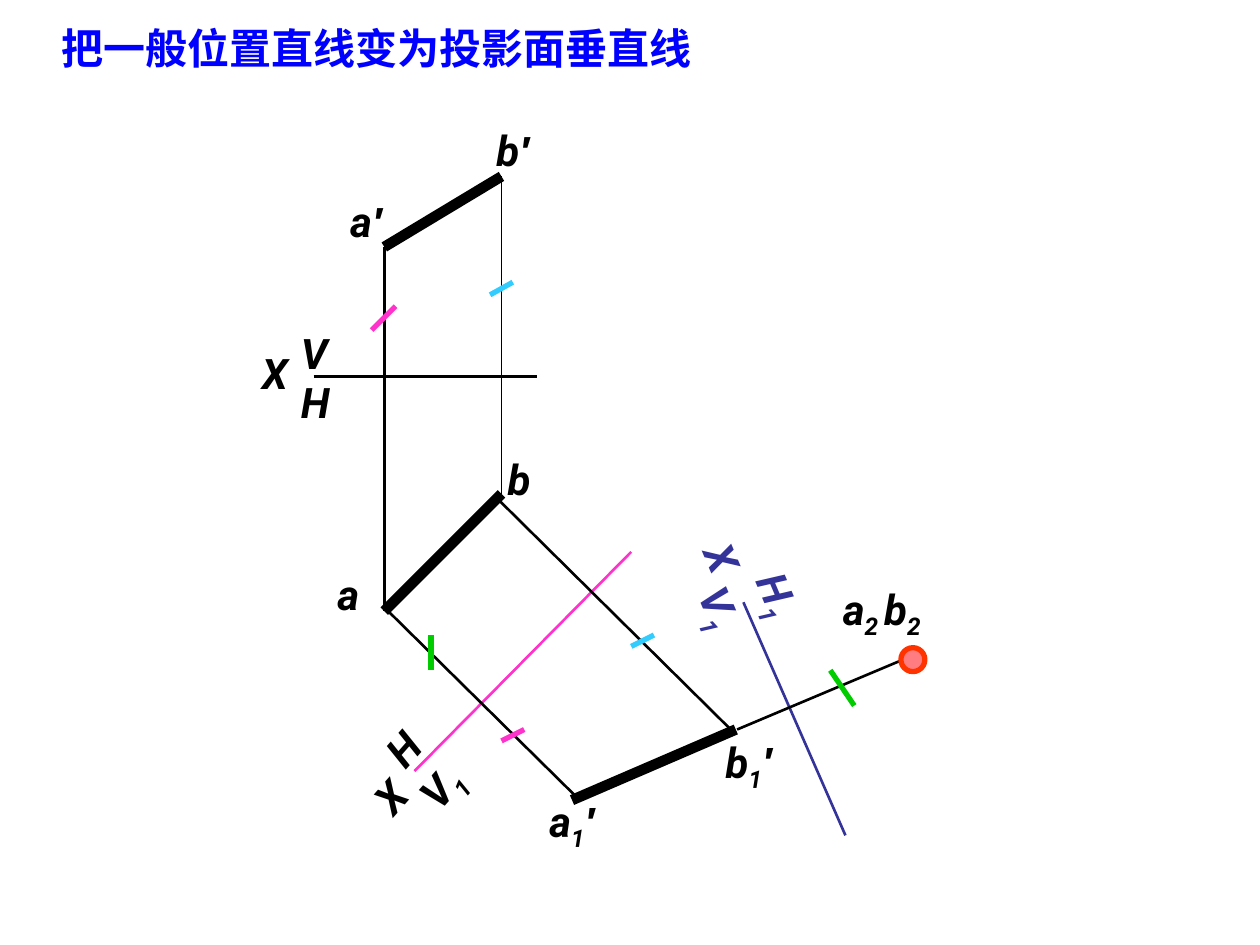
"""Draw the projection of a general line turned into a projecting line."""
from itertools import groupby

from lxml import etree
from pptx import Presentation
from pptx.dml.color import RGBColor
from pptx.enum.shapes import MSO_CONNECTOR, MSO_SHAPE
from pptx.enum.text import MSO_AUTO_SIZE
from pptx.oxml.ns import qn
from pptx.util import Inches, Pt

STRAIGHT = MSO_CONNECTOR.STRAIGHT
OVAL = MSO_SHAPE.OVAL
FIT_SHAPE = MSO_AUTO_SIZE.SHAPE_TO_FIT_TEXT

BLACK = RGBColor(0x00, 0x00, 0x00)
BLUE = RGBColor(0x00, 0x00, 0xFF)
NAVY = RGBColor(0x33, 0x33, 0x99)
PINK = RGBColor(0xFF, 0x33, 0xCC)
CYAN = RGBColor(0x33, 0xCC, 0xFF)
GREEN = RGBColor(0x00, 0xCC, 0x00)
RED = RGBColor(0xFF, 0x33, 0x00)
SALMON = RGBColor(0xFF, 0x7C, 0x80)

SUBSCRIPTS = "12 "
PRIME = "′"
THIN, NORMAL, MARK, BOLD = 0.75, 1.5, 3, 6
SUB_HEIGHT = 0.56


def write_text(frame, text, *, size=24, font="Roboto", color=BLACK, italic=True):
    """Write text in runs, with digits as subscripts and primes in Arial."""
    paragraph = frame.paragraphs[0]
    for (subscript, prime), letters in groupby(
        text, key=lambda letter: (letter in SUBSCRIPTS, letter == PRIME)
    ):
        run = paragraph.add_run()
        run.text = "".join(letters)
        run.font.size = Pt(size)
        run.font.name = "Arial" if prime else font
        run.font.bold = True
        run.font.italic = italic
        run.font.color.rgb = color
        if subscript:
            run._r.get_or_add_rPr().set("baseline", "-25000")


class Drawing:
    """Hold the slide and add lines, labels and points to it."""

    def __init__(self, slide):
        self.slide = slide

    def line(self, start, end, color=BLACK, width=NORMAL):
        """Draw a straight line between two points."""
        ends = [Inches(value) for value in (*start, *end)]
        connector = self.slide.shapes.add_connector(STRAIGHT, *ends)
        connector.line.color.rgb = color
        connector.line.width = Pt(width)
        etree.SubElement(connector._element.spPr, qn("a:effectLst"))

    def label(self, text, left, top, width, height=0.5, angle=0, wrap=True, **style):
        """Add a text label, turned by an angle."""
        box = self.slide.shapes.add_textbox(
            Inches(left), Inches(top), Inches(width), Inches(height)
        )
        box.rotation = angle
        box.text_frame.word_wrap = wrap
        box.text_frame.auto_size = FIT_SHAPE
        write_text(box.text_frame, text, **style)

    def point(self, left, top, size, fill, outline):
        """Draw a round point."""
        dot = self.slide.shapes.add_shape(
            OVAL, Inches(left), Inches(top), Inches(size), Inches(size)
        )
        dot.shadow.inherit = False
        dot.fill.solid()
        dot.fill.fore_color.rgb = fill
        dot.line.color.rgb = outline
        dot.line.width = Pt(MARK)


def draw_second_axis(drawing):
    """Draw the axis between V1 and H1."""
    drawing.line((5.9, 4.78), (6.71, 6.63), NAVY)
    turned = {"angle": 67.1, "color": NAVY}
    drawing.label("X", 5.46, 4.29, 0.65, **turned)
    drawing.label("H1", 5.82, 4.55, 0.75, SUB_HEIGHT, **turned)
    drawing.label("V1", 5.33, 4.71, 0.85, SUB_HEIGHT, **turned)


def draw_given_views(drawing):
    """Draw the line AB in the V and H planes."""
    a_front, b_front = (3.05, 1.96), (3.98, 1.4)
    a_top, b_top = (3.05, 4.85), (3.98, 3.92)
    drawing.line(a_front, a_top)
    drawing.line((2.49, 2.99), (4.26, 2.99))
    drawing.line(a_front, b_front, width=BOLD)
    drawing.line(a_top, b_top, width=BOLD)
    drawing.line(b_top, b_front, width=THIN)
    for name, left, top, width in (
        ("a′", 2.68, 1.5, 0.78),
        ("a", 2.58, 4.46, 0.89),
        ("X", 1.98, 2.71, 0.65),
        ("V", 2.29, 2.55, 0.47),
        ("H", 2.29, 2.94, 0.56),
        ("b′", 3.84, 0.94, 0.78),
        ("b", 3.93, 3.55, 0.89),
    ):
        drawing.label(name, left, top, width)


def draw_point_view(drawing):
    """Draw the view in which AB becomes a point."""
    drawing.label("a2 b2", 6.59, 4.58, 1.31, SUB_HEIGHT)
    drawing.line((5.85, 5.79), (7.25, 5.2))
    drawing.point(7.15, 5.14, 0.19, SALMON, RED)


def draw_first_axis(drawing):
    """Draw the axis between H and V1."""
    drawing.line((3.29, 6.12), (5.01, 4.38), PINK)
    drawing.label("X", 2.85, 5.98, 0.65, angle=311.3)
    drawing.label("H", 2.96, 5.64, 0.56, angle=311.3)
    drawing.label("V1", 3.19, 5.83, 0.91, SUB_HEIGHT, angle=311.3)


def draw_true_length(drawing):
    """Draw AB in its true length in the V1 plane."""
    drawing.line((3.04, 4.81), (4.57, 6.32))
    drawing.line((3.96, 3.97), (5.81, 5.8))
    drawing.line((5.84, 5.79), (4.54, 6.35), width=BOLD)
    for name, left, top in (("a1′", 4.26, 6.26), ("b1′", 5.66, 5.79)):
        drawing.label(name, left, top, 0.93, SUB_HEIGHT, angle=359.4)


def draw_equal_marks(drawing):
    """Mark the equal distances in matching colours."""
    for start, end, color in (
        ((4.16, 5.79), (3.98, 5.88), PINK),
        ((3.14, 2.43), (2.95, 2.62), PINK),
        ((3.89, 2.34), (4.07, 2.24), CYAN),
        ((5.01, 5.13), (5.19, 5.04), CYAN),
        ((3.42, 5.04), (3.42, 5.32), GREEN),
        ((6.59, 5.32), (6.78, 5.6), GREEN),
    ):
        drawing.line(start, end, color, MARK)


def main():
    """Build the slide and save it."""
    deck = Presentation()
    deck.slide_width, deck.slide_height = Inches(10), Inches(7.5)
    drawing = Drawing(deck.slides.add_slide(deck.slide_layouts[6]))
    draw_second_axis(drawing)
    draw_given_views(drawing)
    draw_point_view(drawing)
    draw_first_axis(drawing)
    draw_true_length(drawing)
    draw_equal_marks(drawing)
    drawing.label("把一般位置直线变为投影面垂直线", 0.39, 0.13, 5.2, wrap=False,
                  font="Arial", color=BLUE, italic=False)
    deck.save("out.pptx")


if __name__ == "__main__":
    main()
